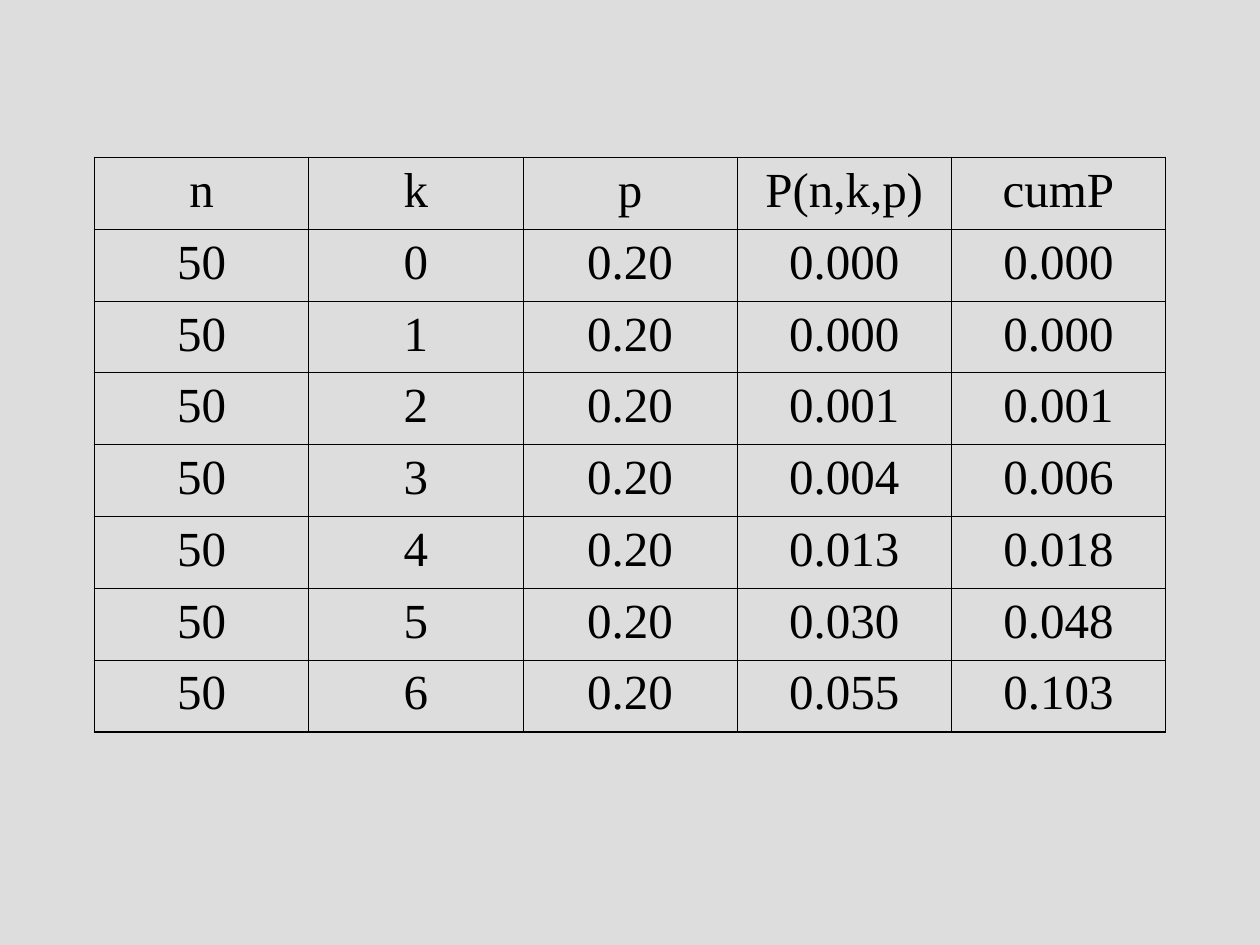
"""Build a slide with a table of binomial probabilities."""
from typing import NamedTuple

from lxml import etree
from pptx import Presentation
from pptx import util as u
from pptx.dml.color import RGBColor
from pptx.enum import text
from pptx.oxml import ns

BACKGROUND = RGBColor(0xDD, 0xDD, 0xDD)
BLACK = RGBColor(0, 0, 0)
FONT = "Times New Roman"
THIN, THICK = u.Pt(0.45), u.Pt(1.08)
COL_WIDTH, ROW_HEIGHT = u.Inches(1.7), u.Inches(0.57)


class Outcome(NamedTuple):
    """One row of the binomial table."""
    k: int
    prob: str
    cum: str
    n: int = 50
    p: str = "0.20"

    def cells(self) -> tuple[str, ...]:
        """Return the row's texts in column order."""
        return str(self.n), str(self.k), self.p, self.prob, self.cum


HEADER = ("n", "k", "p", "P(n,k,p)", "cumP")
OUTCOMES = (
    Outcome(0, "0.000", "0.000"),
    Outcome(1, "0.000", "0.000"),
    Outcome(2, "0.001", "0.001"),
    Outcome(3, "0.004", "0.006"),
    Outcome(4, "0.013", "0.018"),
    Outcome(5, "0.030", "0.048"),
    Outcome(6, "0.055", "0.103"),
)


def set_borders(cell, outer: dict[str, bool]) -> None:
    """Draw the four cell borders, thicker on the table's outer edges."""
    tc_pr = cell._tc.get_or_add_tcPr()
    for i, (side, is_outer) in enumerate(outer.items()):
        ln = etree.Element(ns.qn(f"a:ln{side}"), w=str(THICK if is_outer else THIN))
        fill = etree.SubElement(ln, ns.qn("a:solidFill"))
        etree.SubElement(fill, ns.qn("a:srgbClr"), val=str(BLACK))
        tc_pr.insert(i, ln)


def write_cell(cell, value: str) -> None:
    """Write centred text in an unfilled cell."""
    cell.fill.background()
    p = cell.text_frame.paragraphs[0]
    p.alignment = text.PP_ALIGN.CENTER
    r = p.add_run()
    r.text = value
    r.font.name = FONT
    r.font.size = u.Pt(28)
    r.font.bold = False
    r.font.color.rgb = BLACK


def add_grid(s, rows: list[tuple[str, ...]]) -> None:
    """Add the bordered table to the slide."""
    n_rows, n_cols = len(rows), len(rows[0])
    table = s.shapes.add_table(
        n_rows, n_cols, u.Inches(0.75), u.Inches(1.25),
        COL_WIDTH * n_cols, ROW_HEIGHT * n_rows).table
    table.first_row = table.horz_banding = False
    for i, row in enumerate(rows):
        for j, value in enumerate(row):
            cell = table.cell(i, j)
            write_cell(cell, value)
            set_borders(cell, {"L": j == 0, "R": j == n_cols - 1,
                               "T": i == 0, "B": i == n_rows - 1})


def main() -> None:
    """Create and save the presentation."""
    prs = Presentation()
    prs.slide_width, prs.slide_height = u.Inches(10), u.Inches(7.5)
    s = prs.slides.add_slide(prs.slide_layouts[6])
    s.background.fill.solid()
    s.background.fill.fore_color.rgb = BACKGROUND
    add_grid(s, [HEADER, *(o.cells() for o in OUTCOMES)])
    prs.save("out.pptx")


if __name__ == "__main__":
    main()
